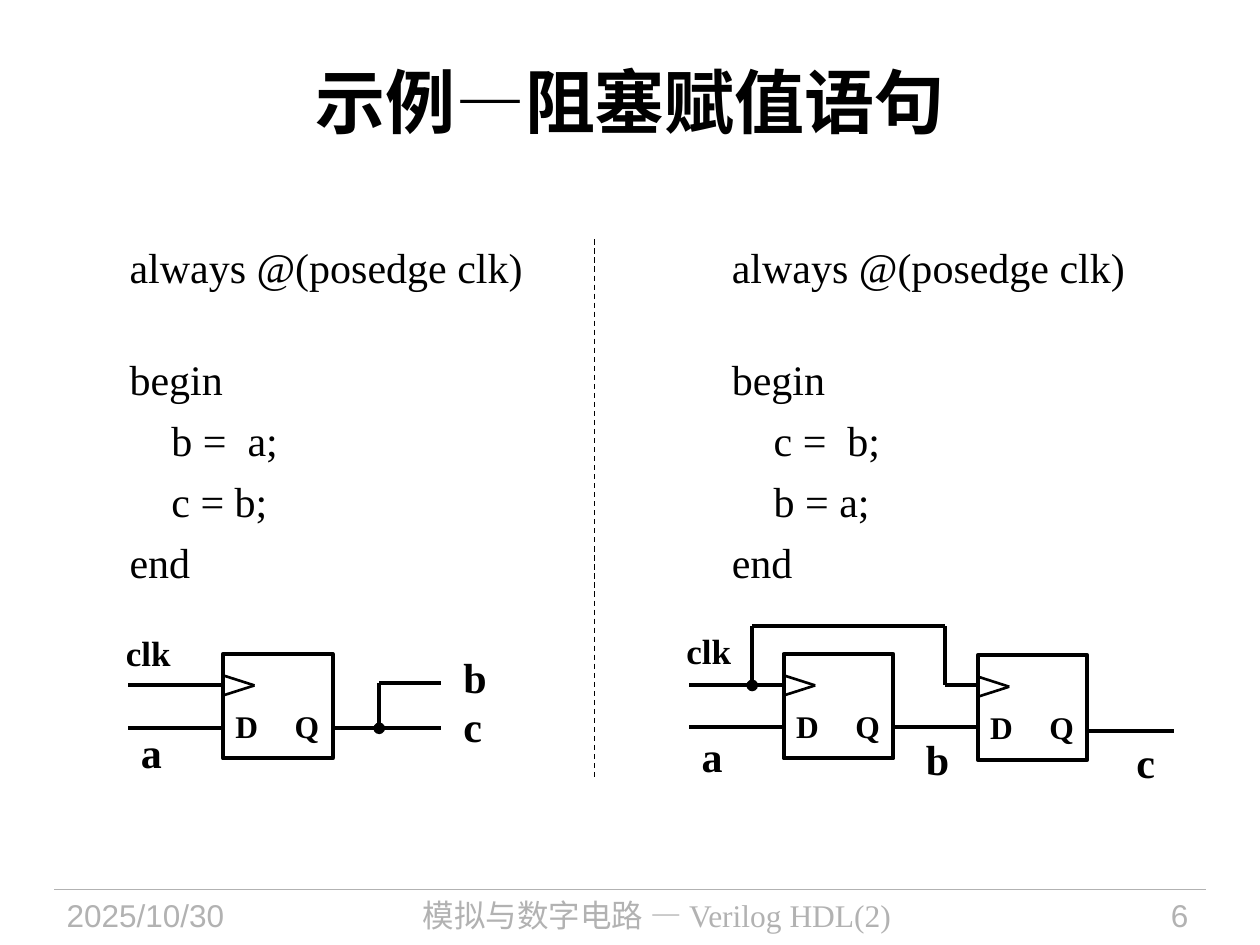
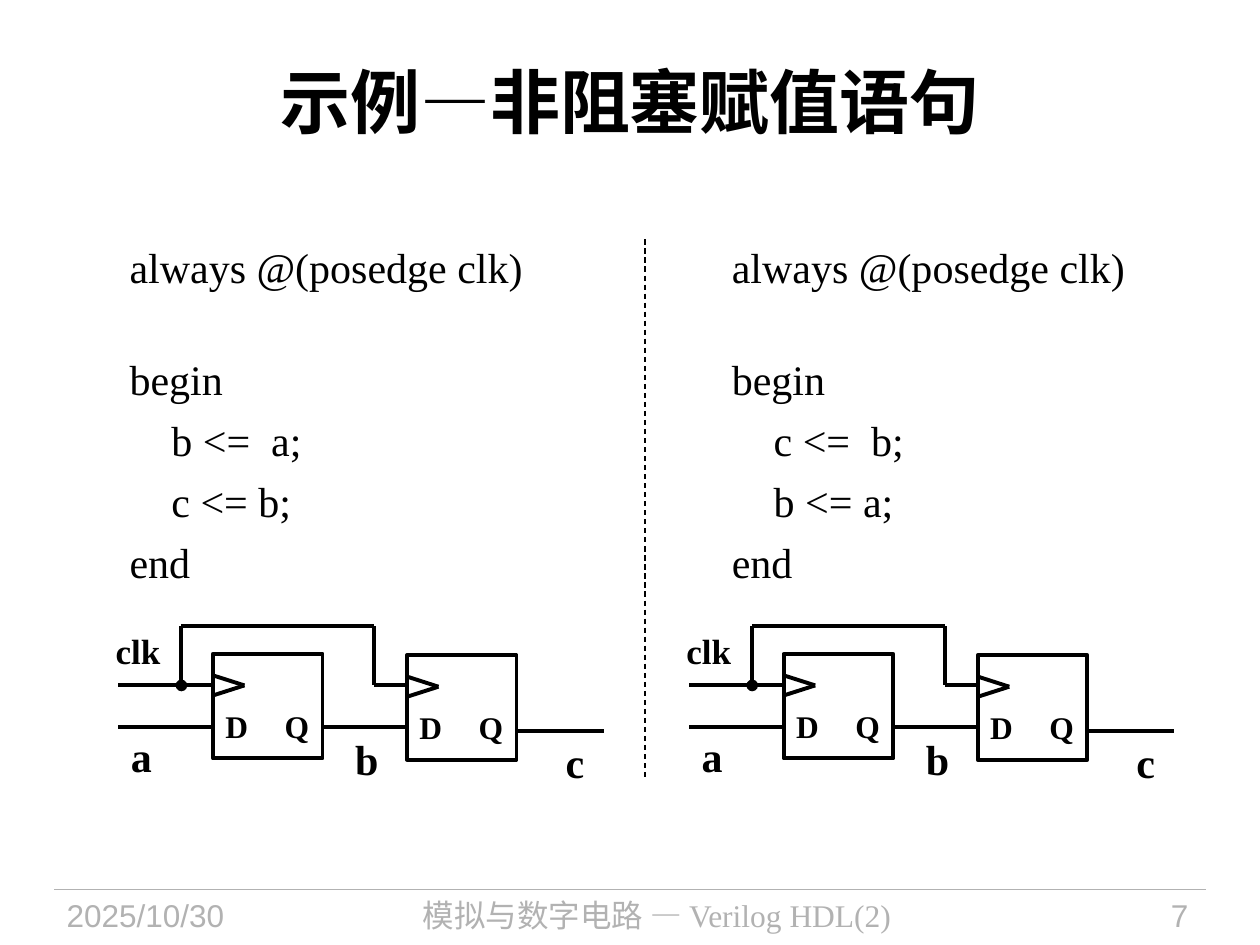
"""Builds two slides that compare blocking and non-blocking assignments."""
from lxml import etree
from pptx import Presentation
from pptx.dml.color import RGBColor
from pptx.enum.dml import MSO_LINE
from pptx.enum.shapes import MSO_CONNECTOR, MSO_SHAPE
from pptx.enum.text import MSO_ANCHOR, PP_ALIGN
from pptx.oxml.ns import qn
from pptx.util import Inches, Pt

LEFT, CENTER, RIGHT = PP_ALIGN.LEFT, PP_ALIGN.CENTER, PP_ALIGN.RIGHT
MIDDLE = MSO_ANCHOR.MIDDLE
STRAIGHT = MSO_CONNECTOR.STRAIGHT
RECTANGLE = MSO_SHAPE.RECTANGLE
DASH = MSO_LINE.DASH

COLORS = {"ink": "000000", "footer": "B2B2B2"}
SERIF, SANS = "Times New Roman", "Arial"
WIRE = 2.25
LINE_HEIGHT = 1.2
CODE_LEFTS = (0.93, 5.71)
FLIP_FLOP_WIDTH, FLIP_FLOP_HEIGHT = 0.87, 0.83


class Deck:
    """Holds the style and the current slide."""

    def __init__(self):
        self.presentation = Presentation()
        self.presentation.slide_width = Inches(10)
        self.presentation.slide_height = Inches(7.5)
        self.slide = None

    def style(self, paragraph, size, font=SERIF, bold=False, color="ink", align=LEFT):
        paragraph.alignment = align
        paragraph.font.name = font
        paragraph.font.size = Pt(size)
        paragraph.font.bold = bold
        paragraph.font.color.rgb = RGBColor.from_string(COLORS[color])

    def add_slide(self, title, number):
        layout = self.presentation.slide_layouts[5]
        self.slide = self.presentation.slides.add_slide(layout)
        shape = self.slide.shapes.title
        shape.left, shape.top = Inches(0.5), Inches(0.17)
        shape.width, shape.height = Inches(9), Inches(1.25)
        shape.text_frame.text = title
        shape.text_frame.vertical_anchor = MIDDLE
        self.style(shape.text_frame.paragraphs[0], 40, bold=True, align=CENTER)
        self.footer(number)

    def footer(self, number):
        self.line((0.43, 7.06), (9.57, 7.06), 0.75, "footer")
        for left, width, text, font, align in (
            (0.43, 1.88, "2025/10/30", SANS, LEFT),
            (2.4, 5.63, "模拟与数字电路 — Verilog HDL(2)", SERIF, CENTER),
            (8.2, 1.33, str(number), SANS, RIGHT),
        ):
            frame = self.text_box(left, 7.06, width, 0.44, text)
            self.style(frame.paragraphs[0], 18, font, color="footer", align=align)

    def text_box(self, left, top, width, height, text):
        box = self.slide.shapes.add_textbox(
            Inches(left), Inches(top), Inches(width), Inches(height))
        box.text_frame.word_wrap = True
        box.text_frame.text = text
        return box.text_frame

    def code(self, left, statements):
        lines = ["always @(posedge clk)", "begin"]
        lines += ["    " + statement for statement in statements] + ["end"]
        frame = self.text_box(left, 1.87, 3.6, 2.46, "\n".join(lines))
        for paragraph in frame.paragraphs:
            self.style(paragraph, 24)
            paragraph.line_spacing = Pt(24 * LINE_HEIGHT)
            paragraph.space_after = Pt(6)
        frame.paragraphs[0].space_after = Pt(35)

    def label(self, text, left, top, size=24):
        width = 0.67 if len(text) > 1 else 0.42
        frame = self.text_box(left, top, width, size / 60 + 0.1, text)
        self.style(frame.paragraphs[0], size, bold=True)
        frame.paragraphs[0].line_spacing = Pt(size * LINE_HEIGHT)

    def line(self, start, end, weight=WIRE, color="ink", dash=None, dot=False):
        x1, y1, x2, y2 = (Inches(value) for value in (*start, *end))
        connector = self.slide.shapes.add_connector(STRAIGHT, x1, y1, x2, y2)
        connector.line.color.rgb = RGBColor.from_string(COLORS[color])
        connector.line.width = Pt(weight)
        if dash:
            connector.line.dash_style = dash
        if dot:
            outline = connector.line._get_or_add_ln()
            etree.SubElement(outline, qn("a:tailEnd"), type="oval")
        etree.SubElement(connector._element.spPr, qn("a:effectLst"))

    def wires(self, left, segments):
        for x1, y1, x2, y2 in segments:
            self.line((left + x1, y1), (left + x2, y2))

    def divider(self, x):
        self.line((x, 1.9), (x, 6.19), 0.75, dash=DASH)

    def flip_flop(self, left, top, clock_weight):
        shape = self.slide.shapes.add_shape(
            RECTANGLE, Inches(left), Inches(top),
            Inches(FLIP_FLOP_WIDTH), Inches(FLIP_FLOP_HEIGHT))
        shape.shadow.inherit = False
        shape.fill.background()
        shape.line.color.rgb = RGBColor.from_string(COLORS["ink"])
        shape.line.width = Pt(WIRE)
        tip = (left + 0.25, top + 0.25)
        self.line((left, top + 0.17), tip, clock_weight)
        self.line(tip, (left, top + 0.33), clock_weight)
        self.label("D", left, top + 0.37, 18)
        self.label("Q", left + 0.47, top + 0.37, 18)

    def one_stage(self, left):
        self.flip_flop(left + 0.75, 5.19, 1.5)
        self.wires(left, (
            (0, 5.44, 0.75, 5.44),
            (0, 5.78, 0.75, 5.78),
            (1.62, 5.78, 2.48, 5.78),
            (1.99, 5.42, 2.48, 5.42),
        ))
        self.line((left + 1.99, 5.42), (left + 1.99, 5.78), dot=True)
        self.label("clk", left - 0.12, 4.96, 20)
        self.label("a", left, 5.72)
        self.label("b", left + 2.56, 5.12)
        self.label("c", left + 2.56, 5.51)

    def two_stage(self, left, clock_weight):
        self.flip_flop(left + 0.75, 5.19, clock_weight)
        self.flip_flop(left + 2.29, 5.2, clock_weight)
        self.wires(left, (
            (0, 5.44, 0.75, 5.44),
            (0, 5.77, 0.75, 5.77),
            (1.62, 5.77, 2.29, 5.77),
            (3.16, 5.8, 3.85, 5.8),
            (0.5, 4.97, 2.03, 4.97),
            (2.03, 4.97, 2.03, 5.44),
            (2.03, 5.44, 2.29, 5.44),
        ))
        self.line((left + 0.5, 4.97), (left + 0.5, 5.44), dot=True)
        self.label("clk", left - 0.12, 4.95, 20)
        self.label("a", left, 5.75)
        self.label("b", left + 1.78, 5.77)
        self.label("c", left + 3.45, 5.8)


def main():
    deck = Deck()

    deck.add_slide("示例—阻塞赋值语句", 6)
    for left, statements in zip(CODE_LEFTS, (("b =  a;", "c = b;"), ("c =  b;", "b = a;"))):
        deck.code(left, statements)
    deck.divider(4.72)
    deck.one_stage(1.02)
    deck.two_stage(5.47, 1.5)

    deck.add_slide("示例—非阻塞赋值语句", 7)
    for left, statements in zip(CODE_LEFTS, (("b <=  a;", "c <= b;"), ("c <=  b;", "b <= a;"))):
        deck.code(left, statements)
    deck.divider(5.12)
    for left in (0.94, 5.47):
        deck.two_stage(left, WIRE)

    deck.presentation.save("out.pptx")


if __name__ == "__main__":
    main()
